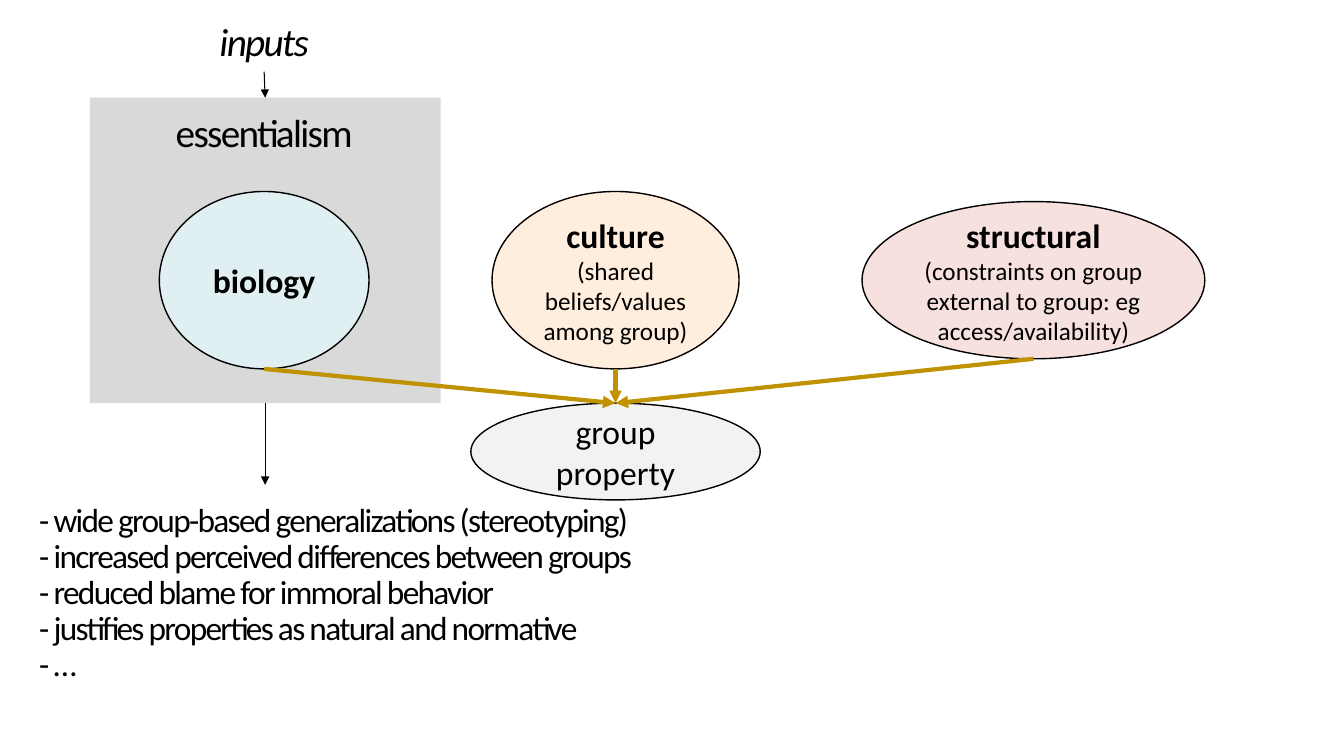
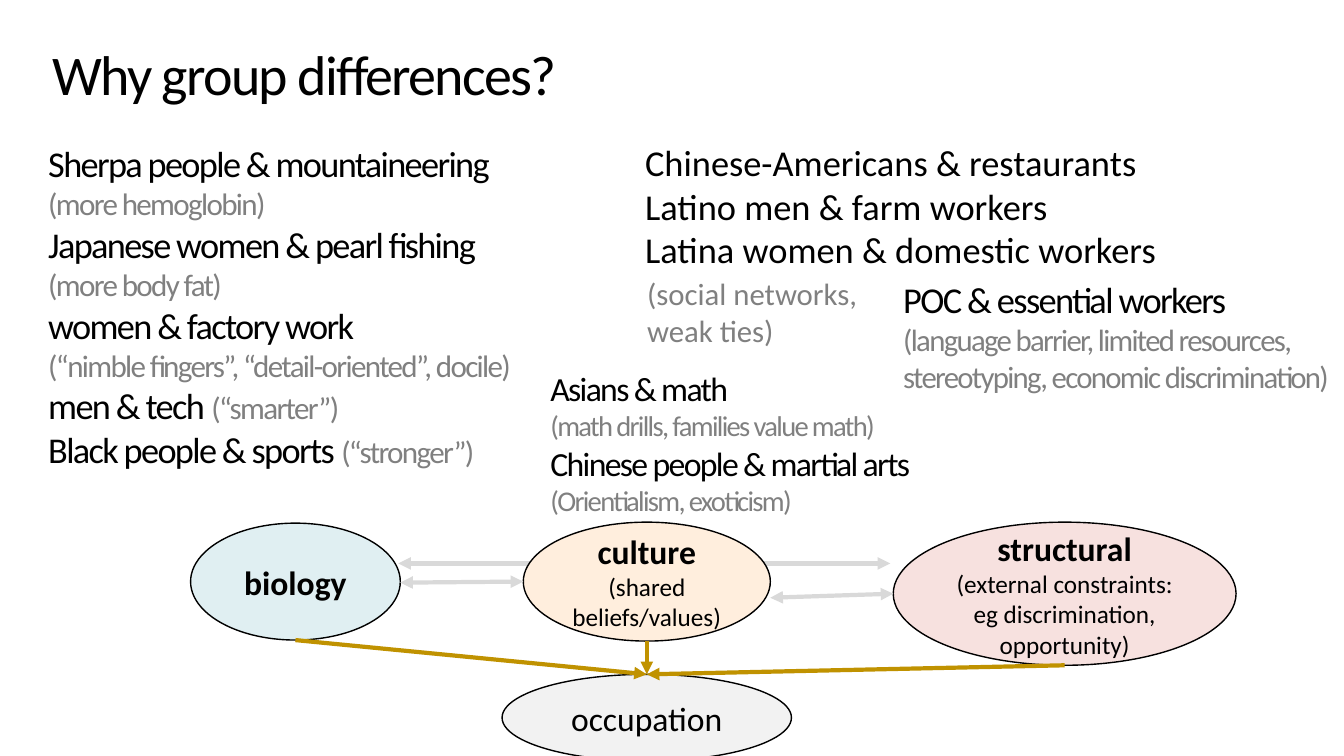
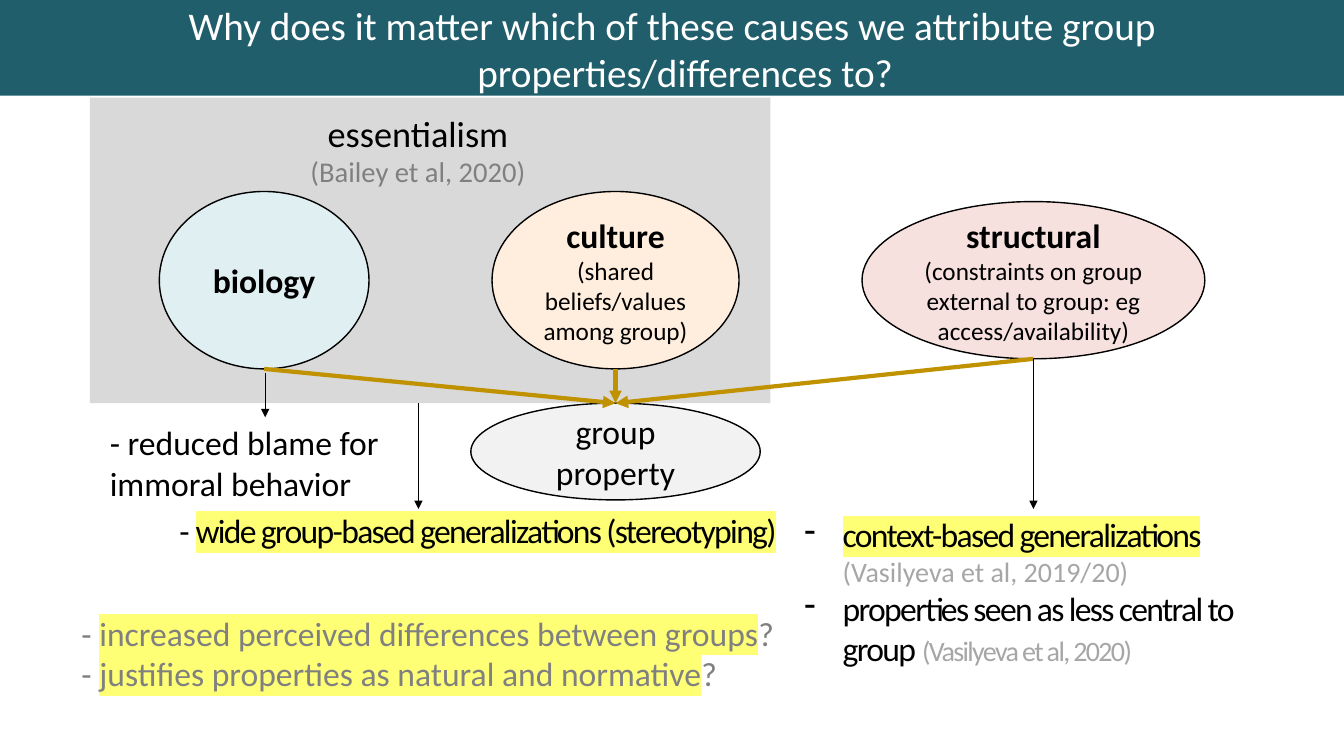
from collections import namedtuple

from pptx import Presentation
from pptx import util as u
from pptx.dml.color import RGBColor
from pptx.enum import shapes, text
from pptx.oxml.ns import qn
from lxml import etree

BLACK, WHITE, GREY, PALE_GREY = "000000", "FFFFFF", "808080", "A6A6A6"
PANEL, GOLD, TEAL, YELLOW = "D9D9D9", "C09200", "215E6B", "FFFF75"
BLUE, PEACH, ROSE, MIST = "E0EFF2", "FFEEDD", "F7E1DF", "F2F2F2"
FONT = "Calibri"
TIGHT = -120
TOP, BOTTOM = 0, 2
CENTER = text.PP_ALIGN.CENTER
MIDDLE = text.MSO_ANCHOR.MIDDLE

Run = namedtuple("Run", "text size color bold italic spacing highlight",
                 defaults=(24, BLACK, False, False, 0, None))


def rgb(value):
    return RGBColor.from_string(value)


def add_child(parent, tag, **attributes):
    child = etree.SubElement(parent, qn(tag))
    for name, value in attributes.items():
        child.set(name, value)
    return child


def tight(words, size=24, color=BLACK, **options):
    return Run(words, size, color, spacing=TIGHT, **options)


class Deck:
    """Holds the shared style and the slide being drawn."""

    def __init__(self):
        self.presentation = Presentation()
        self.presentation.slide_width = u.Inches(13.33)
        self.presentation.slide_height = u.Inches(7.5)
        self.slide = None

    def new_slide(self):
        self.slide = self.presentation.slides.add_slide(self.presentation.slide_layouts[6])

    def add_run(self, paragraph, style):
        for index, part in enumerate(style.text.split("\n")):
            if index:
                paragraph.add_line_break()
            if not part:
                continue
            run = paragraph.add_run()
            run.text = part
            font = run.font
            font.name, font.size = FONT, u.Pt(style.size)
            font.bold, font.italic = style.bold, style.italic
            font.color.rgb = rgb(style.color)
            properties = run._r.get_or_add_rPr()
            if style.spacing:
                properties.set("spc", str(style.spacing))
            if style.highlight:
                highlight = etree.Element(qn("a:highlight"))
                add_child(highlight, "a:srgbClr", val=style.highlight)
                properties.find(qn("a:solidFill")).addnext(highlight)

    def add_text(self, shape, paragraphs, align=None, anchor=text.MSO_ANCHOR.TOP,
                 line_spacing=None, hanging=0, bullet=None):
        frame = shape.text_frame
        frame.word_wrap = True
        frame.vertical_anchor = anchor
        for index, runs in enumerate(paragraphs):
            paragraph = frame.add_paragraph() if index else frame.paragraphs[0]
            paragraph.alignment = align
            paragraph.line_spacing = line_spacing
            if hanging:
                properties = paragraph._p.get_or_add_pPr()
                properties.set("marL", str(u.Inches(hanging)))
                properties.set("indent", str(-u.Inches(hanging)))
                if bullet:
                    add_child(properties, "a:buChar", char=bullet)
            for run in runs:
                self.add_run(paragraph, run)

    def text_box(self, box, paragraphs, **layout):
        shape = self.slide.shapes.add_textbox(*map(u.Inches, box))
        self.add_text(shape, paragraphs, **layout)
        return shape

    def shape(self, kind, box, fill, outline=None, paragraphs=(), **layout):
        shape = self.slide.shapes.add_shape(kind, *map(u.Inches, box))
        shape.shadow.inherit = False
        shape.fill.solid()
        shape.fill.fore_color.rgb = rgb(fill)
        if outline:
            shape.line.color.rgb = rgb(outline)
            shape.line.width = u.Pt(1)
        else:
            shape.line.fill.background()
        self.add_text(shape, paragraphs, align=CENTER, anchor=MIDDLE, **layout)
        return shape

    def panel(self, box, fill, paragraphs=(), **layout):
        return self.shape(shapes.MSO_SHAPE.RECTANGLE, box, fill, None, paragraphs, **layout)

    def ellipse(self, box, fill, heading, detail=None, bold=True):
        paragraphs = [[Run(heading, bold=bold)]]
        if detail:
            paragraphs.append([Run(detail, 18)])
        return self.shape(shapes.MSO_SHAPE.OVAL, box, fill, BLACK, paragraphs)

    def arrow(self, start, end, color=BLACK, width=0.75, both=False,
              start_shape=None, end_shape=None):
        connector = self.slide.shapes.add_connector(
            shapes.MSO_CONNECTOR.STRAIGHT, *map(u.Inches, (*start, *end)))
        if start_shape is not None:
            connector.begin_connect(start_shape, BOTTOM)
        if end_shape is not None:
            connector.end_connect(end_shape, TOP)
        connector.line.color.rgb = rgb(color)
        connector.line.width = u.Pt(width)
        properties = connector._element.spPr
        line = properties.find(qn("a:ln"))
        if both:
            add_child(line, "a:headEnd", type="triangle")
        add_child(line, "a:tailEnd", type="triangle")
        add_child(properties, "a:effectLst")

    def causes(self, rows, culture, structural, outcome, shift=0):
        columns = ((8.55, 3.4), (1.58, 2.08), (4.88, 2.45), (4.67, 2.87))
        boxes = [(left + shift, top, width, height)
                 for (left, width), (top, height) in zip(columns, rows)]
        structural_box, biology_box, culture_box, outcome_box = boxes
        self.ellipse(structural_box, ROSE, "structural", structural)
        self.ellipse(biology_box, BLUE, "biology")
        self.ellipse(culture_box, PEACH, "culture", culture)
        target = self.ellipse(outcome_box, MIST, outcome, bold=False)
        end = (outcome_box[0] + outcome_box[2] / 2, outcome_box[1])
        for left, top, width, height in (biology_box, structural_box, culture_box):
            self.arrow((left + width / 2, top + height), end, GOLD, 3, end_shape=target)

    def group_property_causes(self):
        self.causes(((2, 1.56), (1.9, 1.76), (1.9, 1.76), (4, 0.96)),
                    "(shared beliefs/values among group)",
                    "(constraints on group external to group: eg access/availability)",
                    "group property")


def essentialism_slide(deck):
    deck.new_slide()
    effects = ("wide group-based generalizations (stereotyping)",
               "increased perceived differences between groups",
               "reduced blame for immoral behavior",
               "justifies properties as natural and normative",
               "…")
    deck.text_box((0.29, 4.95, 6.41, 2.12),
                  [[tight(f"- {effect}", 23.8)] for effect in effects], line_spacing=0.9)
    panel = deck.panel((0.89, 0.97, 3.48, 3.03), PANEL)
    deck.group_property_causes()
    deck.text_box((1.58, 0.96, 2.08, 0.69), [[tight("essentialism", 28)]],
                  align=CENTER, anchor=MIDDLE)
    deck.arrow((2.63, 4), (2.63, 4.81), start_shape=panel)
    inputs = deck.text_box((1.58, 0.11, 2.08, 0.6), [[tight("inputs", 28, italic=True)]],
                           align=CENTER, anchor=MIDDLE)
    deck.arrow((2.63, 0.71), (2.63, 0.97), start_shape=inputs, end_shape=panel)


def differences_slide(deck):
    deck.new_slide()
    biology_examples = (
        ("Sherpa people & mountaineering\n", "(more hemoglobin)"),
        ("Japanese women & pearl fishing\n", "(more body fat)"),
        ("women & factory work\n", "(“nimble fingers”, “detail-oriented”, docile)"),
        ("men & tech ", "(“smarter”)"),
        ("Black people & sports ", "(“stronger”)"))
    deck.text_box((0.38, 1.24, 4.88, 3.59),
                  [[tight(example, 25.9), tight(reason, 22.2, GREY)]
                   for example, reason in biology_examples], anchor=MIDDLE)
    deck.text_box((8.86, 2.47, 4.48, 1.73),
                  [[tight("POC & essential workers\n", 26),
                    tight("(language barrier, limited resources, stereotyping, "
                          "economic discrimination)", 22, GREY)]], anchor=MIDDLE)
    deck.text_box((5.36, 3.59, 3.77, 1.6),
                  [[tight("Asians & math", 24.1)],
                   [tight("(math drills, families value math)", 20.4, GREY)],
                   [tight("Chinese people & martial arts", 24.1)],
                   [tight("(Orientialism, exoticism)", 20.4, GREY)]], anchor=MIDDLE)
    deck.text_box((6.3, 1.34, 6.74, 1.41),
                  [[Run(example, 26)] for example in (
                      "Chinese-Americans & restaurants",
                      "Latino men & farm workers",
                      "Latina women & domestic workers")])
    deck.text_box((6.32, 2.68, 2.51, 0.84), [[Run("(social networks, weak ties)", 22, GREY)]])
    deck.text_box((0.42, -0.08, 11.38, 1.61), [[tight("Why group differences?", 40)]],
                  anchor=MIDDLE)
    deck.arrow((3.95, 5.59), (8.83, 5.59), PANEL, 3, both=True)
    deck.causes(((5.18, 1.42), (5.19, 1.16), (5.18, 1.18), (6.69, 0.86)),
                "(shared beliefs/values)",
                "(external constraints: eg discrimination, opportunity)",
                "occupation", shift=0.31)
    deck.arrow((3.97, 5.78), (5.19, 5.77), PANEL, 3, both=True)
    deck.arrow((7.64, 5.93), (8.86, 5.89), PANEL, 3, both=True)


def attribution_slide(deck):
    deck.new_slide()
    deck.panel((0.89, 0.97, 6.75, 3.03), PANEL)
    deck.group_property_causes()
    deck.text_box((2.92, 0.97, 2.45, 1.03),
                  [[Run("essentialism", 25.9)], [Run("(Bailey et al, 2020)", 20.4, GREY)]],
                  align=CENTER, anchor=MIDDLE)
    deck.text_box((1.68, 5.01, 6.41, 0.61),
                  [[tight("- "), tight("wide group-based generalizations (stereotyping)",
                                       highlight=YELLOW)]])
    deck.arrow((4.15, 4), (4.15, 5.05))
    blame = deck.text_box((0.99, 4.14, 3.28, 0.91),
                          [[Run("- reduced blame for immoral behavior")]])
    deck.arrow((2.63, 3.7), (2.63, 4.14), end_shape=blame)
    open_questions = ("increased perceived differences between groups",
                      "justifies properties as natural and normative")
    deck.text_box((0.71, 6.03, 7.67, 0.91),
                  [[Run("- ", color=GREY), Run(question, color=GREY, highlight=YELLOW),
                    Run("?", color=GREY)] for question in open_questions])
    deck.text_box((7.88, 5.05, 4.73, 1.87),
                  [[tight("context-based generalizations ", highlight=YELLOW),
                    Run("(Vasilyeva et al, 2019/20)", 20, PALE_GREY)],
                   [tight("properties seen as less central to group "),
                    tight("(Vasilyeva et al, 2020)", 20, PALE_GREY)]],
                  hanging=0.38, bullet="-")
    deck.arrow((10.25, 3.56), (10.25, 5.05))
    deck.panel((0, 0, 13.33, 0.95), TEAL,
               [[Run("Why does it matter which of these causes we attribute group "
                     "properties/differences to?", 28, WHITE)]], hanging=0.26)


def main():
    deck = Deck()
    essentialism_slide(deck)
    differences_slide(deck)
    attribution_slide(deck)
    deck.presentation.save("out.pptx")


if __name__ == "__main__":
    main()
